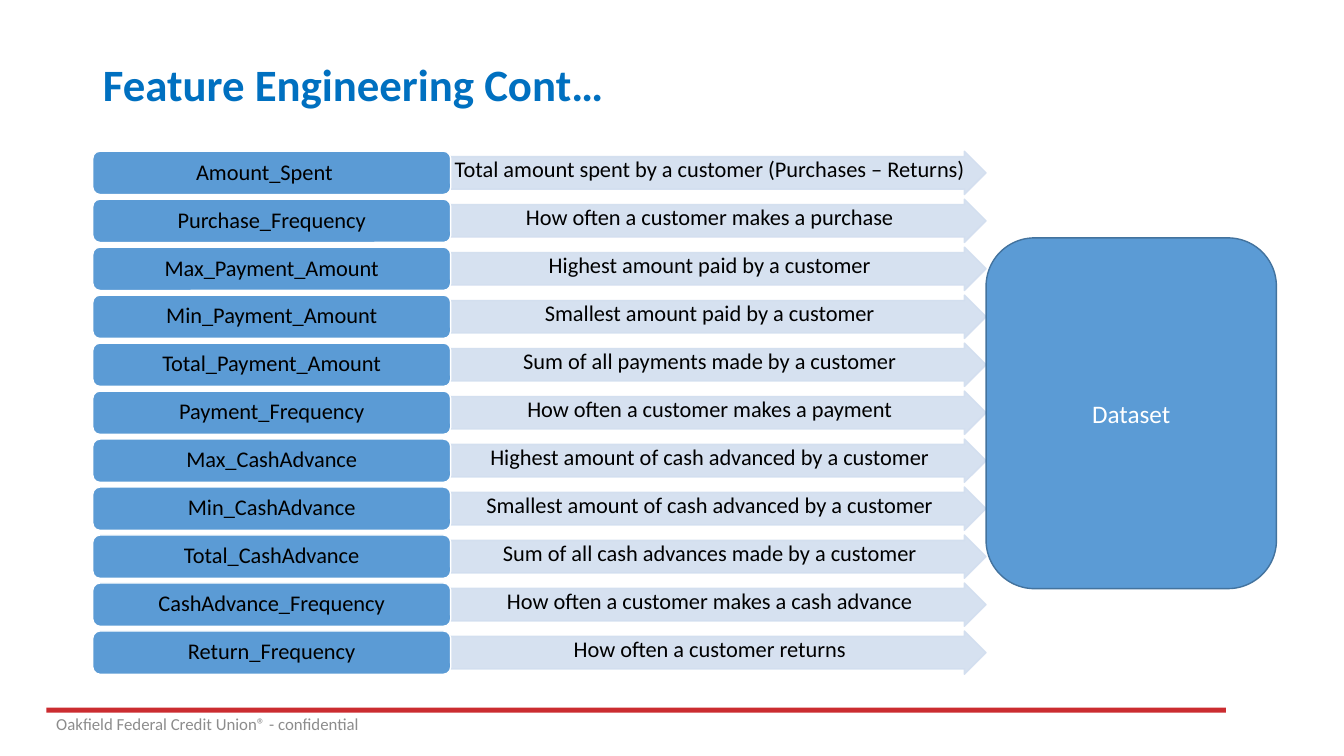
from pptx import Presentation
from pptx.dml.color import RGBColor
from pptx.enum.shapes import MSO_SHAPE as Preset
from pptx.enum.text import MSO_ANCHOR as Anchor, PP_ALIGN as Align
from pptx.oxml.ns import qn
from pptx.util import Inches, Pt
from lxml.etree import SubElement

FONT = "Calibri"
BLUE, PALE, WHITE, BLACK = "5B9BD5", "D2DEEF", "FFFFFF", "000000"

FEATURES = [
    ("Amount_Spent\t", "Total amount spent by a customer (Purchases – Returns)"),
    ("Purchase_Frequency", "How often a customer makes a purchase"),
    ("Max_Payment_Amount", "Highest amount paid by a customer"),
    ("Min_Payment_Amount", "Smallest amount paid by a customer"),
    ("Total_Payment_Amount", "Sum of all payments made by a customer"),
    ("Payment_Frequency", "How often a customer makes a payment"),
    ("Max_CashAdvance", "Highest amount of cash advanced by a customer"),
    ("Min_CashAdvance", "Smallest amount of cash advanced by a customer"),
    ("Total_CashAdvance", "Sum of all cash advances made by a customer"),
    ("CashAdvance_Frequency", "How often a customer makes a cash advance"),
    ("Return_Frequency", "How often a customer returns"),
]
FIRST_TOP, LAST_TOP, ROW_HEIGHT = 1.5, 6.26, 0.43
ROW_STEP = (LAST_TOP - FIRST_TOP) / (len(FEATURES) - 1)
NAME_LEFT, NAME_WIDTH = 0.92, 3.55
ARROW_LEFT, ARROW_WIDTH = 4.46, 5.32
MEANING_WIDTH, MEANING_HEIGHT, MEANING_DROP = 5.16, 0.32, 0.06


def rgb(value):
    return RGBColor.from_string(value)


def write(shape, text, size, color, align=Align.CENTER, anchor=Anchor.MIDDLE,
          insets=(0.1, 0.05), spacing=1.0, bold=False):
    """Put one line of text in a shape; insets are horizontal, vertical."""
    frame = shape.text_frame
    frame.word_wrap = True
    frame.vertical_anchor = anchor
    frame.margin_left = frame.margin_right = Inches(insets[0])
    frame.margin_top = frame.margin_bottom = Inches(insets[1])
    para = frame.paragraphs[0]
    para.alignment = align
    para.line_spacing = spacing
    span = para.add_run()
    span.text = text
    span.font.name = FONT
    span.font.size = Pt(size)
    span.font.bold = bold
    span.font.color.rgb = rgb(color)


def add_block(page, preset, left, top, width, height, fill, line=None):
    shape = page.shapes.add_shape(
        preset, Inches(left), Inches(top), Inches(width), Inches(height))
    shape.shadow.inherit = False
    shape.fill.solid()
    shape.fill.fore_color.rgb = rgb(fill)
    if line:
        shape.line.color.rgb = rgb(line)
        shape.line.width = Pt(1)
    else:
        shape.line.fill.background()
    return shape


def add_text(page, left, top, width, height, text, size, color, **style):
    box = page.shapes.add_textbox(
        Inches(left), Inches(top), Inches(width), Inches(height))
    write(box, text, size, color, **style)


def set_opacity(shape, percent):
    """Apply the same opacity to the fill and the outline."""
    for color in shape._element.spPr.iter(qn("a:srgbClr")):
        SubElement(color, qn("a:alpha")).set("val", str(percent * 1000))


def add_title(page, text):
    title = page.shapes.title
    title.left, title.top = Inches(0.92), Inches(0.4)
    title.width, title.height = Inches(11.5), Inches(0.93)
    write(title, text, 32, "0070C0", align=Align.LEFT, spacing=0.9, bold=True)


def add_footer(page, text):
    add_block(page, Preset.RECTANGLE, 0.46, 7.02, 11.7, 0.05, "CB2C30")
    add_text(page, 0.46, 6.98, 8.46, 0.4, text, 12, "8C8C8C", align=Align.LEFT)


def add_feature(page, top, name, meaning):
    arrow = add_block(page, Preset.RIGHT_ARROW, ARROW_LEFT, top,
                      ARROW_WIDTH, ROW_HEIGHT, PALE, PALE)
    arrow.adjustments[0] = 0.75
    arrow.adjustments[1] = 0.5
    set_opacity(arrow, 90)
    # The meaning spans the shaft up to the arrowhead
    add_text(page, ARROW_LEFT, top + MEANING_DROP, MEANING_WIDTH,
             MEANING_HEIGHT, meaning, 16, BLACK, anchor=Anchor.TOP,
             insets=(0.01, 0.01), spacing=0.9)

    label = add_block(page, Preset.ROUNDED_RECTANGLE, NAME_LEFT, top,
                      NAME_WIDTH, ROW_HEIGHT, BLUE, WHITE)
    write(label, name, 16, BLACK, insets=(0.07, 0.03), spacing=0.9)


def main():
    deck = Presentation()
    deck.slide_width, deck.slide_height = Inches(13.33), Inches(7.5)
    page = deck.slides.add_slide(deck.slide_layouts.get_by_name("Title Only"))

    # Title and footer
    add_title(page, "Feature Engineering Cont…")
    add_footer(page, "Oakfield Federal Credit Union® - confidential")

    # One row per feature
    for row, (name, meaning) in enumerate(FEATURES):
        add_feature(page, FIRST_TOP + row * ROW_STEP, name, meaning)

    # Where the features lead
    dataset = add_block(page, Preset.ROUNDED_RECTANGLE,
                        9.78, 2.36, 2.88, 3.48, BLUE, "43739E")
    write(dataset, "Dataset", 18, WHITE)

    deck.save("out.pptx")


if __name__ == "__main__":
    main()
